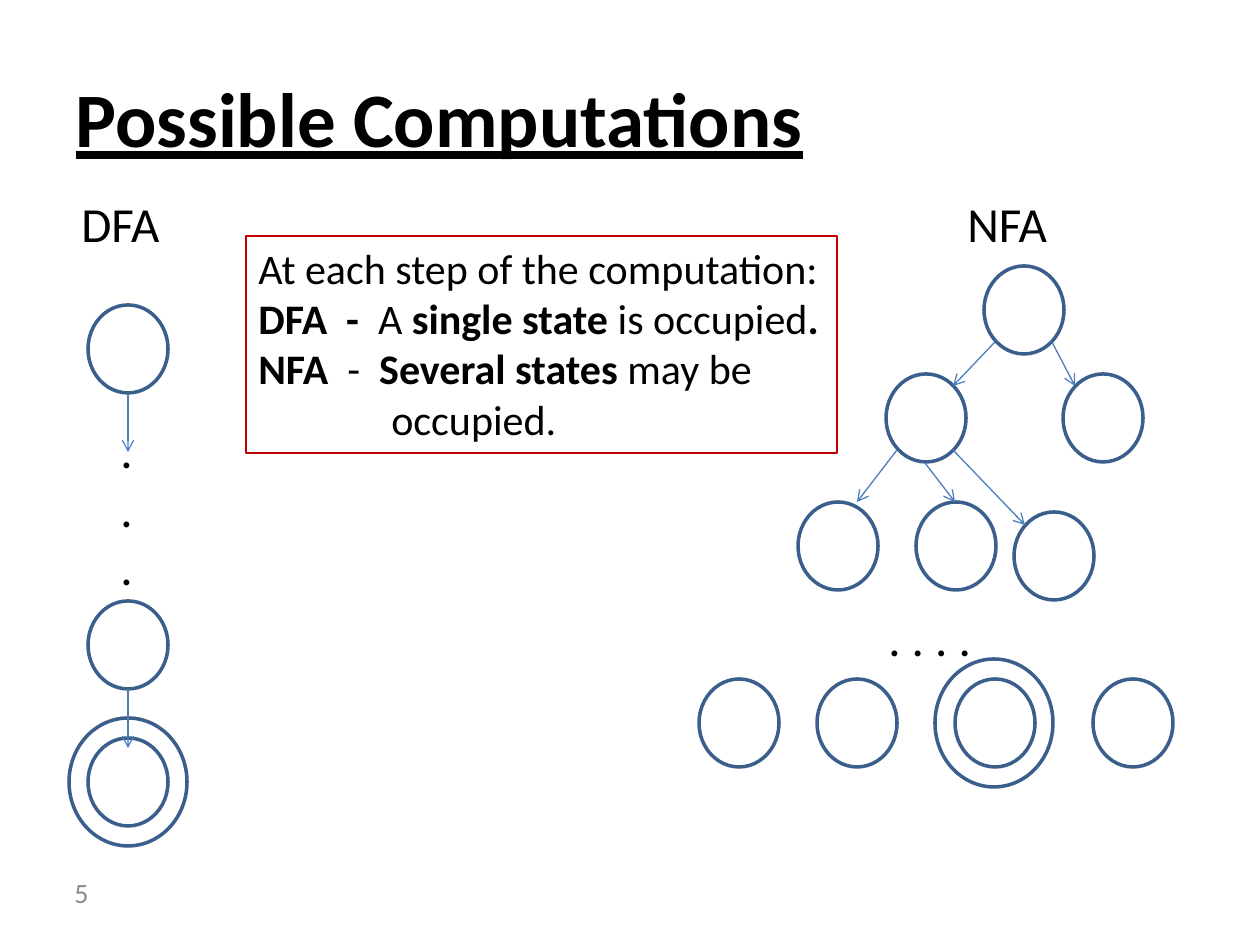
from lxml import etree
from pptx import Presentation
from pptx.dml.color import RGBColor
from pptx.enum.shapes import MSO_CONNECTOR, MSO_SHAPE
from pptx.enum.text import MSO_ANCHOR, MSO_AUTO_SIZE, PP_ALIGN
from pptx.oxml.ns import qn
from pptx.util import Emu, Pt

OVAL, RECTANGLE = MSO_SHAPE.OVAL, MSO_SHAPE.RECTANGLE
STRAIGHT = MSO_CONNECTOR.STRAIGHT
TOP, MIDDLE = MSO_ANCHOR.TOP, MSO_ANCHOR.MIDDLE
LEFT = PP_ALIGN.LEFT
NO_AUTOFIT = MSO_AUTO_SIZE.NONE

EMU_PER_PX = 914400 / 126
FONT = "Calibri"
COLORS = {
    "text": "000000",
    "number": "8C8C8C",
    "state": "3A5F8C",
    "arrow": "4B7EBC",
    "callout": "C00000",
}

STATE_SIZE = (80, 88)
FINAL_SIZE = (118, 128)
DFA_STATES = [(88, y) for y in (305, 601, 738)]
NFA_STATES = [
    (984, 266),
    (886, 374), (1063, 374),
    (798, 502), (916, 502), (1014, 512),
] + [(x, 679) for x in (699, 817, 955, 1093)]
FINAL_STATES = [(69, 718), (935, 659)]
ARROWS = [
    (128, 394, 128, 452),
    (128, 689, 128, 748),
    (995, 342, 953, 386),
    (1052, 342, 1075, 386),
    (897, 450, 857, 502),
    (953, 450, 1025, 525),
    (925, 463, 955, 502),
]
CALLOUT = [
    [("At each step of the computation: ", False), ("DFA  -  ", True),
     ("A ", False), ("single state ", True), ("is occupied", False),
     (".", True)],
    [("NFA", True), ("  -  ", False), ("Several states ", True),
     ("may be \voccupied.", False)],
]


def px(value):
    return Emu(round(value * EMU_PER_PX))


def color(name):
    return RGBColor.from_string(COLORS[name])


def write_text(shape, paragraphs, size, name="text", anchor=TOP,
               underline=False):
    frame = shape.text_frame
    frame.word_wrap = True
    frame.auto_size = NO_AUTOFIT
    frame.vertical_anchor = anchor
    for index, spans in enumerate(paragraphs):
        para = frame.add_paragraph() if index else frame.paragraphs[0]
        para.alignment = LEFT
        for text, bold in spans:
            for part_index, part in enumerate(text.split("\v")):
                if part_index:
                    para.add_line_break()
                span = para.add_run()
                span.text = part
                font = span.font
                font.name = FONT
                font.size = Pt(size)
                font.bold = bold
                font.underline = underline
                font.color.rgb = color(name)


def add_text(page, lines, left, top, width, height, size=28, **text_format):
    box = page.shapes.add_textbox(px(left), px(top), px(width), px(height))
    write_text(box, [[(line, False)] for line in lines], size, **text_format)


def add_outline(page, kind, left, top, width, height, name, weight):
    shape = page.shapes.add_shape(
        kind, px(left), px(top), px(width), px(height))
    shape.shadow.inherit = False
    shape.fill.background()
    shape.line.color.rgb = color(name)
    shape.line.width = Pt(weight)
    return shape


def add_arrow(page, *ends):
    arrow = page.shapes.add_connector(STRAIGHT, *(px(end) for end in ends))
    arrow.line.color.rgb = color("arrow")
    arrow.line.width = Pt(0.75)
    line = arrow.line._get_or_add_ln()
    etree.SubElement(line, qn("a:tailEnd"), type="arrow")
    etree.SubElement(arrow._element.spPr, qn("a:effectLst"))


def add_callout(page):
    callout = add_outline(page, RECTANGLE, 246, 236, 591, 217, "callout", 1)
    write_text(callout, CALLOUT, 24)
    properties = callout.text_frame.paragraphs[1]._p.get_or_add_pPr()
    properties.set("marL", str(px(133)))
    properties.set("indent", str(px(-133)))


def add_title(page):
    title = page.shapes.title
    title.left, title.top = px(63), px(38)
    title.width, title.height = px(1134), px(157)
    write_text(title, [[("Possible Computations", True)]], 44,
               anchor=MIDDLE, underline=True)


def main():
    deck = Presentation()
    deck.slide_width, deck.slide_height = px(1260), px(945)
    page = deck.slides.add_slide(deck.slide_layouts[5])
    add_title(page)
    for left, top in DFA_STATES + NFA_STATES:
        add_outline(page, OVAL, left, top, *STATE_SIZE, "state", 2)
    for left, top in FINAL_STATES:
        add_outline(page, OVAL, left, top, *FINAL_SIZE, "state", 2)
    for ends in ARROWS:
        add_arrow(page, *ends)
    add_text(page, ["DFA"], 69, 187, 266, 72)
    add_text(page, ["NFA"], 955, 187, 266, 72)
    add_text(page, ["."] * 3, 108, 413, 59, 229)
    add_text(page, [". . . ."], 876, 601, 217, 111)
    add_callout(page)
    add_text(page, ["5"], 62, 867, 281, 50, size=16, name="number",
             anchor=MIDDLE)
    deck.save("out.pptx")


if __name__ == "__main__":
    main()
